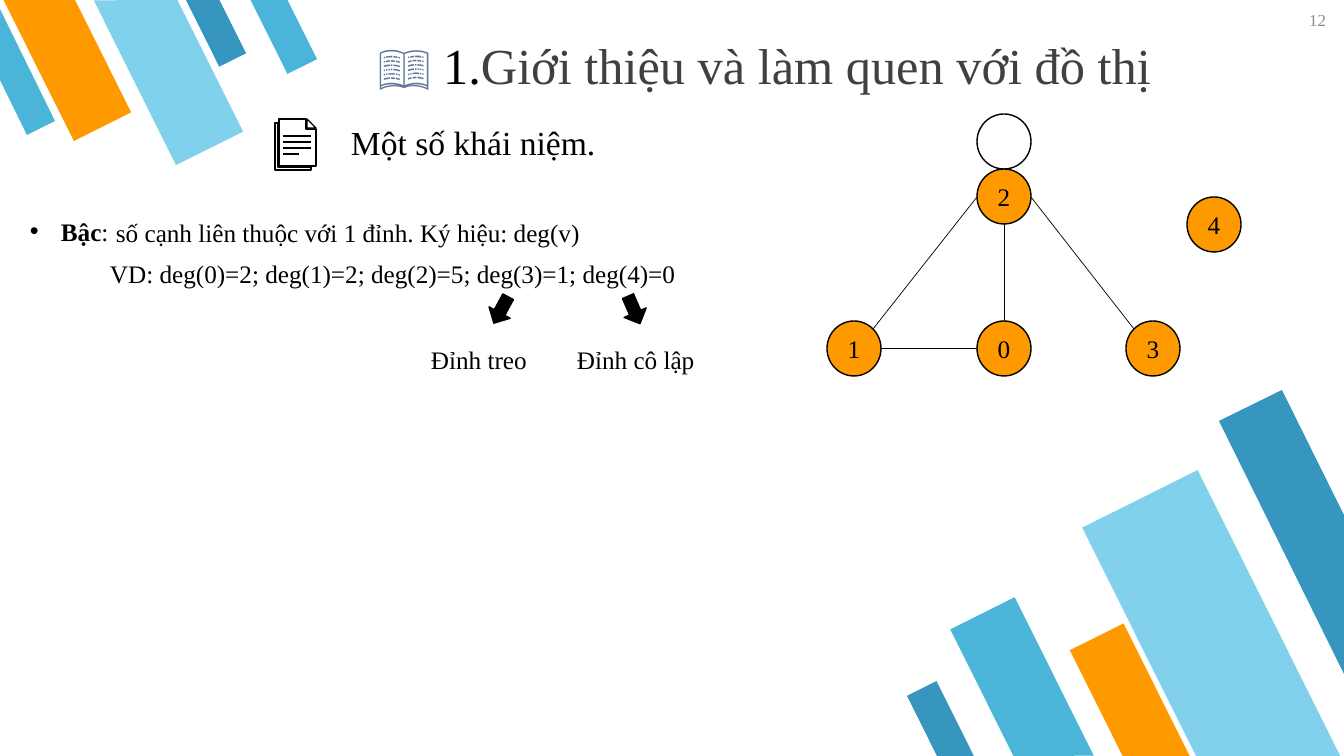
"""Build a slide on vertex degree in a graph."""
from lxml import etree
from pptx import Presentation
from pptx import util as u
from pptx.dml.color import RGBColor
from pptx.enum import shapes, text
from pptx.oxml.ns import qn

PX = 914400 / 100.8
FONT = "Times New Roman"
BLACK = RGBColor(0x00, 0x00, 0x00)
WHITE = RGBColor(0xFF, 0xFF, 0xFF)
DARK = RGBColor(0x40, 0x40, 0x40)
GREY = RGBColor(0x8C, 0x8C, 0x8C)
SLATE = RGBColor(0x60, 0x78, 0x96)
ORANGE = RGBColor(0xFF, 0x99, 0x00)
BLUE = RGBColor(0x4B, 0xB5, 0xD9)
PALE = RGBColor(0x81, 0xD1, 0xEC)
DEEP = RGBColor(0x37, 0x96, 0xBF)

KIND = shapes.MSO_SHAPE
ALIGN = text.PP_ALIGN
NODE_W, NODE_H = 54, 55

LOW_BARS = [
    (986, 604, 72, 177, BLUE),
    (1147, 482, 129, 321, PALE),
    (1100, 629, 60, 149, ORANGE),
    (924, 684, 33, 84, DEEP),
]
TOP_BARS = [
    (201, -11, 30, 75, DEEP),
    (35, -24, 64, 159, ORANGE),
    (131, -26, 75, 184, PALE),
    (267, -13, 33, 84, BLUE),
]
NODES = {
    "2": (977, 169),
    "1": (827, 321),
    "0": (977, 321),
    "3": (1126, 321),
    "4": (1187, 197),
}
EDGES = [
    (977, 197, 873, 329),
    (1004, 224, 1004, 321),
    (881, 348, 977, 348),
    (1031, 197, 1134, 329),
]


def emu(*vals):
    """Turn px lengths into EMU."""
    return [u.Emu(round(val * PX)) for val in vals]


def paint(shape, fill, line=None):
    """Set the fill and outline of a shape and drop its shadow."""
    shape.shadow.inherit = False
    shape.fill.solid()
    shape.fill.fore_color.rgb = fill
    if line is None:
        shape.line.fill.background()
    else:
        shape.line.color.rgb = line
        shape.line.width = u.Pt(1)
    return shape


def block(slide, kind, box, fill, line=None, turn=0):
    """Add a painted preset shape."""
    shape = slide.shapes.add_shape(kind, *emu(*box))
    shape.rotation = turn
    return paint(shape, fill, line)


def bar(slide, box, fill, turn):
    """Add a slanted bar that bleeds over the slide edge."""
    shape = block(slide, KIND.FLOWCHART_MANUAL_INPUT, box, fill, turn=turn)
    shape.element.spPr.xfrm.set("flipH", "1")


def outline(slide, points, fill, line=None):
    """Add a closed polygon."""
    form = slide.shapes.build_freeform(*points[0], scale=PX)
    form.add_line_segments(points[1:], close=True)
    return paint(form.convert_to_shape(), fill, line)


def rule(slide, ends, width):
    """Add a straight black line."""
    line = slide.shapes.add_connector(shapes.MSO_CONNECTOR.STRAIGHT, *emu(*ends))
    line.line.color.rgb = BLACK
    line.line.width = u.Pt(width)
    etree.SubElement(line.element.spPr, qn("a:effectLst"))


def write(frame, *lines, size=18, align=ALIGN.LEFT, before=0, after=0, space=1.0):
    """Fill a frame with lines made of (words, colour, bold) runs."""
    frame.word_wrap = True
    for num, runs in enumerate(lines):
        para = frame.add_paragraph() if num else frame.paragraphs[0]
        para.alignment = align
        para.space_before, para.space_after = u.Pt(before), u.Pt(after)
        para.line_spacing = space
        for words, tint, bold in runs:
            run = para.add_run()
            run.text = words
            run.font.name = FONT
            run.font.size = u.Pt(size)
            run.font.bold = bold
            run.font.color.rgb = tint
    return frame


def label(slide, box, *lines, **style):
    """Add a text box and return its frame."""
    return write(slide.shapes.add_textbox(*emu(*box)).text_frame, *lines, **style)


def indent(para, left, first=0, mark=None):
    """Set the indents of a paragraph and an optional bullet."""
    props = para._p.get_or_add_pPr()
    for name, val in zip(("marL", "indent"), emu(left, first)):
        props.set(name, str(val))
    if mark:
        etree.SubElement(props, qn("a:buFont")).set("typeface", "Arial")
        etree.SubElement(props, qn("a:buChar")).set("char", mark)


def decor(slide):
    """Draw the bars in both corners."""
    for bars, turn in ((LOW_BARS, 153.5), (TOP_BARS, 333.5)):
        for *box, fill in bars:
            bar(slide, box, fill, turn)
    outline(slide, [(1282, 390), (1219, 421), (1344, 674), (1344, 515)], DEEP)
    outline(slide, [(27, 135), (55, 121), (0, 9), (0, 80)], BLUE)


def papers(slide):
    """Draw the icon of two sheets."""
    back = [(275, 123), (278, 123), (278, 167), (311, 167), (311, 170), (275, 170)]
    front = [(279, 119), (306, 119), (306, 129), (316, 129), (316, 166), (279, 166)]
    fold = [(307, 119), (307, 128), (316, 128)]
    for points in (back, front, fold):
        outline(slide, points, WHITE, BLACK)
    for row, right in enumerate((311, 311, 311, 299)):
        top = 136 + 6 * row
        rule(slide, (283, top, right, top), 2)


def graph(slide):
    """Draw the graph with its loop."""
    for name, spot in NODES.items():
        node = block(slide, KIND.FLOWCHART_CONNECTOR, (*spot, NODE_W, NODE_H), ORANGE, BLACK)
        write(node.text_frame, [(name, BLACK, False)], align=ALIGN.CENTER)
        node.text_frame.vertical_anchor = text.MSO_ANCHOR.MIDDLE
    for ends in EDGES:
        rule(slide, ends, 0.5)
    left, top = NODES["2"]
    block(slide, KIND.OVAL, (left, top - NODE_H, NODE_W, NODE_H), WHITE, BLACK)


def notion(slide):
    """Write the definition of degree and its example."""
    body = label(
        slide, (37, 210, 695, 95),
        [("số cạnh liên thuộc với 1 đỉnh. Ký hiệu: deg(v)", BLACK, False)],
        [("VD: deg(0)=2; deg(1)=2; deg(2)=5; deg(3)=1; deg(4)=0", BLACK, False)],
        before=5, after=1.5, space=1.07)
    for para, left in zip(body.paragraphs, (69, 63)):
        indent(para, left)
    for words, left in (("Đỉnh treo", 421), ("Đỉnh cô lập", 567)):
        label(slide, (left, 339, 150, 40), [(words, BLACK, False)])
    for left, turn in ((489, 28.4), (622, 336.5)):
        block(slide, KIND.DOWN_ARROW, (left, 295, 24, 30), BLACK, BLACK, turn)
    term = label(slide, (20, 211, 112, 40), [("Bậc", BLACK, True), (":", BLACK, False)])
    indent(term.paragraphs[0], 31, -31, "•")


def main():
    """Build the slide and save it."""
    deck = Presentation()
    deck.slide_width, deck.slide_height = emu(1344, 756)
    slide = deck.slides.add_slide(deck.slide_layouts[6])
    decor(slide)
    page = label(slide, (1258, 0, 81, 57), [("12", GREY, False)], size=12, align=ALIGN.RIGHT)
    page.margin_left, page.margin_top, page.margin_right, page.margin_bottom = emu(*[13] * 4)
    label(slide, (368, 29, 876, 72),
          [("📖 ", SLATE, False), ("1.", BLACK, False),
           ("Giới thiệu và làm quen với đồ thị", DARK, False)], size=36)
    papers(slide)
    label(slide, (341, 117, 348, 50), [("Một số khái niệm.", BLACK, False)], size=24)
    graph(slide)
    notion(slide)
    deck.save("out.pptx")


if __name__ == "__main__":
    main()
